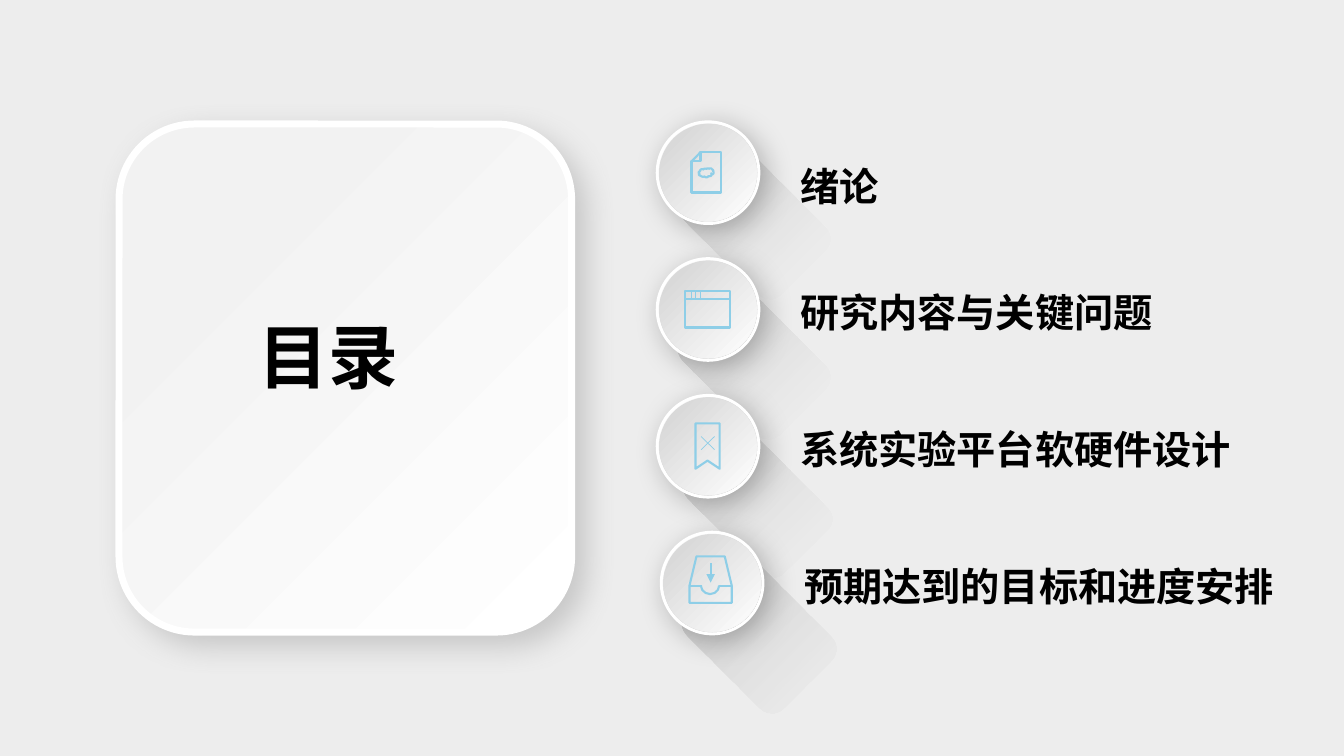
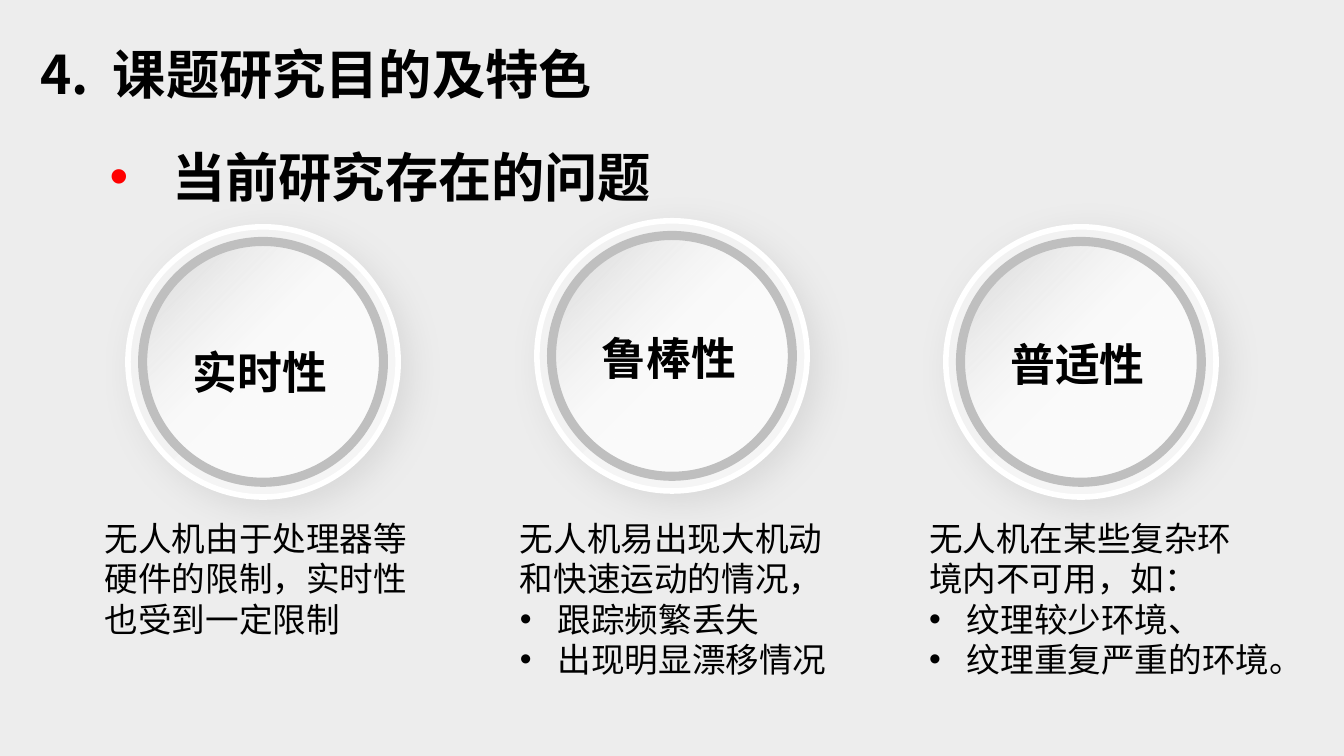
import lxml.etree
import pptx
import pptx.dml.color
import pptx.enum.shapes
import pptx.enum.text
import pptx.oxml.ns
import pptx.util

Pt = pptx.util.Pt
qn = pptx.oxml.ns.qn
KIND = pptx.enum.shapes.MSO_SHAPE
FONT = "Noto Sans CJK SC"
COLORS = {
    "back": "EDEDED", "text": "000000", "white": "FFFFFF", "icon": "8ECEE7",
    "dot": "FF0000", "ring": "BFBFBF", "gray": "D9D9D9", "pale": "F2F2F2",
    "rim": "F5F5F5", "dim": "808080", "black": "000000",
    "fade1": "F4F4F4", "fade2": "F3F3F3", "fade3": "F2F2F2", "fade4": "E8E8E8",
}
DISC = 72.7
RING, CORE = 193, 172


def rgb(name):
    return pptx.dml.color.RGBColor.from_string(COLORS[name])


def child(node, tag, **attrs):
    return lxml.etree.SubElement(
        node, qn(tag), {key: str(val) for key, val in attrs.items()})


def stroke(item, name, width):
    item.line.color.rgb = rgb(name)
    item.line.width = Pt(width)


def form(slide, kind, x, y, w, h):
    """Add a preset shape with no fill, line or shadow."""
    shape = slide.shapes.add_shape(kind, Pt(x), Pt(y), Pt(w), Pt(h))
    shape.shadow.inherit = False
    shape.fill.background()
    shape.line.fill.background()
    return shape


def blend(shape, first, last, angle, alpha=100):
    """Fill with two (position, colour) stops; alpha applies to the last."""
    shape.fill.gradient()
    shape.fill.gradient_angle = -angle % 360
    for stop, (place, name) in zip(shape.fill.gradient_stops, (first, last)):
        stop.position = place / 100
        stop.color.rgb = rgb(name)
    if alpha < 100:
        tint = list(shape.element.spPr.iter(qn("a:srgbClr")))[-1]
        child(tint, "a:alpha", val=alpha * 1000)


def shade(shape, name, alpha, blur, dist):
    effect = shape.element.spPr.find(qn("a:effectLst"))
    cast = child(effect, "a:outerShdw", blurRad=Pt(blur), dist=Pt(dist),
                 dir=45 * 60000, algn="tl", rotWithShape=0)
    tint = child(cast, "a:srgbClr", val=COLORS[name])
    child(tint, "a:alpha", val=alpha * 1000)


def style(box, size, bold):
    for para in box.text_frame.paragraphs:
        para.line_spacing = Pt(size * 1.2)
        for run in para.runs:
            font = run.font
            font.name, font.size, font.bold = FONT, Pt(size), bold
            font.color.rgb = rgb("text")
            child(run.font._element, "a:ea", typeface=FONT)


def write(slide, x, y, w, h, text, size, bold=True):
    box = slide.shapes.add_textbox(Pt(x), Pt(y), Pt(w), Pt(h))
    frame = box.text_frame
    frame.word_wrap = True
    frame.auto_size = pptx.enum.text.MSO_AUTO_SIZE.SHAPE_TO_FIT_TEXT
    frame.text = text
    style(box, size, bold)
    return box


def bullet(para, indent, color="text"):
    props = para._p.get_or_add_pPr()
    props.set("marL", str(Pt(indent)))
    props.set("indent", str(-Pt(indent)))
    child(child(props, "a:buClr"), "a:srgbClr", val=COLORS[color])
    child(props, "a:buFont", typeface="Arial")
    child(props, "a:buChar", char="•")


def rule(slide, x1, y1, x2, y2, width=1.5, arrow=False):
    line = slide.shapes.add_connector(
        pptx.enum.shapes.MSO_CONNECTOR.STRAIGHT, Pt(x1), Pt(y1), Pt(x2), Pt(y2))
    stroke(line, "icon", width)
    props = line.element.spPr
    if arrow:
        child(props.find(qn("a:ln")), "a:tailEnd", type="triangle")
    child(props, "a:effectLst")


def trace(slide, x, y, points):
    """Draw a closed icon outline from points relative to x, y."""
    spots = [(Pt(x + dx), Pt(y + dy)) for dx, dy in points]
    pen = slide.shapes.build_freeform(*spots[0], scale=1.0)
    pen.add_line_segments(spots[1:], close=True)
    shape = pen.convert_to_shape()
    shape.shadow.inherit = False
    shape.fill.background()
    stroke(shape, "icon", 1.5)


def paper(slide, x, y):
    trace(slide, x, y, [(31, 21.7), (45.4, 21.7), (45.4, 50.5),
                        (24.6, 50.5), (24.6, 28.2), (31, 28.2)])
    rule(slide, x + 31, y + 21.7, x + 24.6, y + 28.2)
    stroke(form(slide, KIND.CLOUD, x + 29.6, y + 33.2, 10.8, 6.5), "icon", 1.5)


def window(slide, x, y):
    stroke(form(slide, KIND.RECTANGLE, x + 20.2, y + 23.4, 31.7, 25.9),
           "icon", 1.5)
    rule(slide, x + 20.2, y + 29.1, x + 51.9, y + 29.1)
    for tick in (24.2, 27.6, 31):
        rule(slide, x + tick, y + 29.1, x + tick, y + 23.4, 0.75)


def ribbon(slide, x, y):
    rule(slide, x + 31.4, y + 29.4, x + 41, y + 38.8, 0.5)
    rule(slide, x + 31.4, y + 38.8, x + 41, y + 29.4, 0.5)
    trace(slide, x, y, [(27.4, 20), (44.7, 20), (44.7, 52.4),
                        (36, 46.6), (27.4, 52.4)])


def tray(slide, x, y):
    trace(slide, x, y, [(25.2, 17.3), (45.4, 17.3), (50.4, 38.2),
                        (50.4, 50.5), (20.2, 50.5), (20.2, 38.2)])
    slot = form(slide, KIND.ARC, x + 28.8, y + 31.7, 12.2, 13)
    slot.rotation = 90
    slot.adjustments[0], slot.adjustments[1] = 162, 52.8
    stroke(slot, "icon", 1.5)
    rule(slide, x + 20.2, y + 38.2, x + 28.8, y + 38.2)
    rule(slide, x + 41, y + 38.2, x + 50.4, y + 38.2)
    rule(slide, x + 35.3, y + 22.3, x + 35.3, y + 36, arrow=True)


def streak(slide, x, y, h, fade):
    """Add the long slanting shadow behind a disc."""
    shape = form(slide, KIND.ROUNDED_RECTANGLE, x, y, 98, h)
    shape.rotation = 45
    blend(shape, (0, "ring"), (100, fade), 0, 13)


def disc(slide, x, y):
    rim = form(slide, KIND.OVAL, x, y, DISC, DISC)
    blend(rim, (0, "white"), (90, "gray"), 45)
    stroke(rim, "white", 2)
    shade(rim, "black", 25, 21, 6)
    core = form(slide, KIND.OVAL, x + 1.5, y + 1.5, DISC - 3, DISC - 3)
    blend(core, (15, "gray"), (100, "white"), 45)


def dial(slide, x, y, name, drop):
    rim = form(slide, KIND.OVAL, x, y, RING, RING)
    blend(rim, (3, "pale"), (100, "rim"), 45)
    stroke(rim, "white", 4)
    shade(rim, "dim", 18, 25, 9)
    gap = (RING - CORE) / 2
    core = form(slide, KIND.OVAL, x + gap, y + gap, CORE, CORE)
    blend(core, (4, "gray"), (44, "white"), 45, 60)
    stroke(core, "ring", 6.5)
    write(slide, x + 39, y + drop, 114.5, 46, name, 32)


def agenda(slide):
    panel = form(slide, KIND.ROUNDED_RECTANGLE, 85, 88.6, 323.3, 362.9)
    blend(panel, (20, "pale"), (100, "white"), 45)
    stroke(panel, "white", 5)
    shade(panel, "dim", 34, 21, 11)
    write(slide, 177.8, 220.3, 137.5, 67.7, "目录", 50)

    # icon, label, label width, label drop, disc left, streak left/top/height
    rows = [
        (paper, "绪论", 221.8, 25.3, 469.4, 490.3, 126, 68.4),
        (window, "研究内容与关键问题", 276.5, 17.7, 469.4, 489.6, 224.6, 69.8),
        (ribbon, "系统实验平台软硬件设计", 331.2, 17.8, 469.4, 491.8, 326.2, 66.2),
        (tray, "预期达到的目标和进度安排", 356.4, 18, 472.3, 493.2, 418.3, 72.7),
    ]
    for num, row in enumerate(rows, 1):
        streak(slide, *row[5:], f"fade{num}")
    for num, (icon, name, width, drop, x, *_) in enumerate(rows):
        y = 87 + 97.7 * num
        write(slide, x + 95.1, y + drop, width, 41, name, 28)
        disc(slide, x, y)
        icon(slide, x, y)


def issues(slide):
    title = write(slide, 21.6, 25.9, 493.2, 53.3, "4.", 38)
    para = title.text_frame.paragraphs[0]
    for part in (" ", "课题研究目的及特色"):
        para.add_run().text = part
    style(title, 38, True)
    para.runs[1].font._element.set("spc", "850")

    head = write(slide, 71.3, 95, 709.2, 140.4, "当前研究存在的问题", 38)
    para = head.text_frame.paragraphs[0]
    para.alignment = pptx.enum.text.PP_ALIGN.JUSTIFY
    para.line_spacing = Pt(50)
    bullet(para, 44.6, "dot")

    # dial top, name, name drop, text left, text width, lines, bulleted from
    cols = [
        (162, "实时性", 80.6, 67.7, 240.5,
         ["无人机由于处理器等硬件的限制，实时性也受到一定限制"], 1),
        (157.7, "鲁棒性", 74.9, 364.3, 237.6,
         ["无人机易出现大机动和快速运动的情况，",
          "跟踪频繁丢失", "出现明显漂移情况"], 1),
        (162, "普适性", 74.9, 656.6, 266.4,
         ["无人机在某些复杂环", "境内不可用，如：",
          "纹理较少环境、", "纹理重复严重的环境。"], 2),
    ]
    for num, (y, name, drop, x, width, lines, start) in enumerate(cols):
        dial(slide, 91.4 + 292.1 * num, y, name, drop)
        box = write(slide, x, 366.5, width, 123.8, "\n".join(lines), 24, False)
        for para in box.text_frame.paragraphs[start:]:
            bullet(para, 27)


def main():
    deck = pptx.Presentation()
    deck.slide_width, deck.slide_height = Pt(960), Pt(540)
    fill = deck.slide_master.background.fill
    fill.solid()
    fill.fore_color.rgb = rgb("back")
    for build in (agenda, issues):
        build(deck.slides.add_slide(deck.slide_layouts[6]))
    deck.save("out.pptx")


if __name__ == "__main__":
    main()
